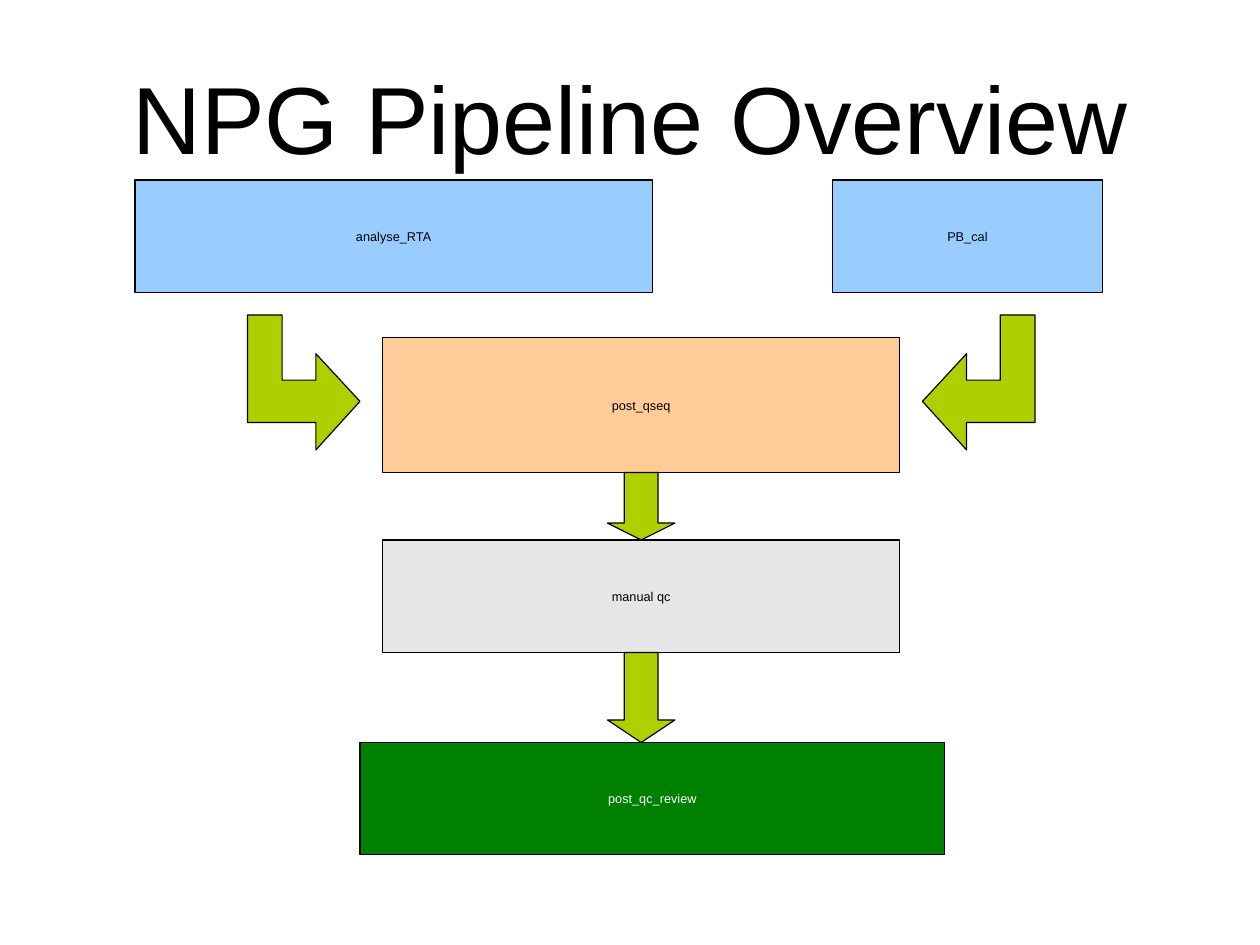
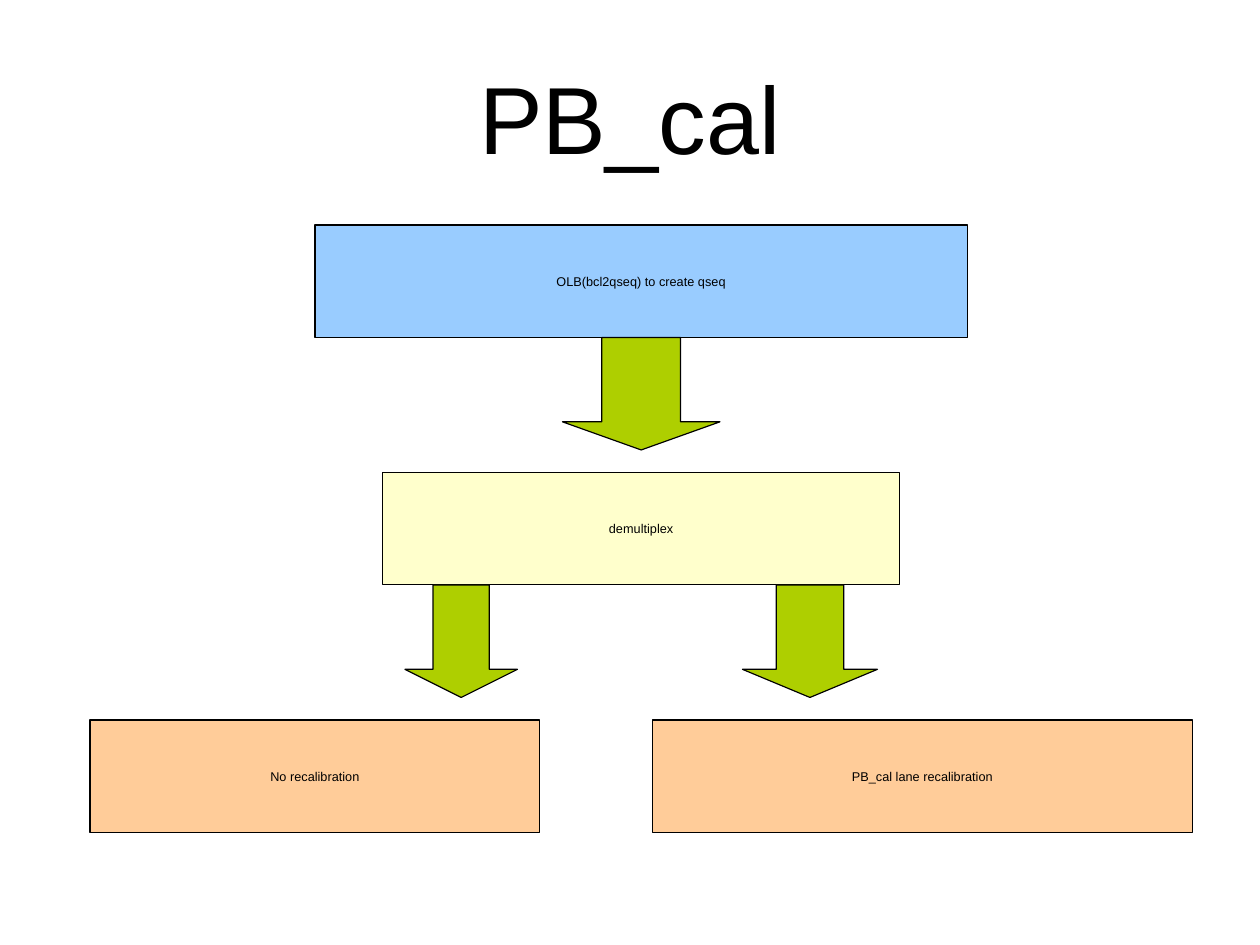
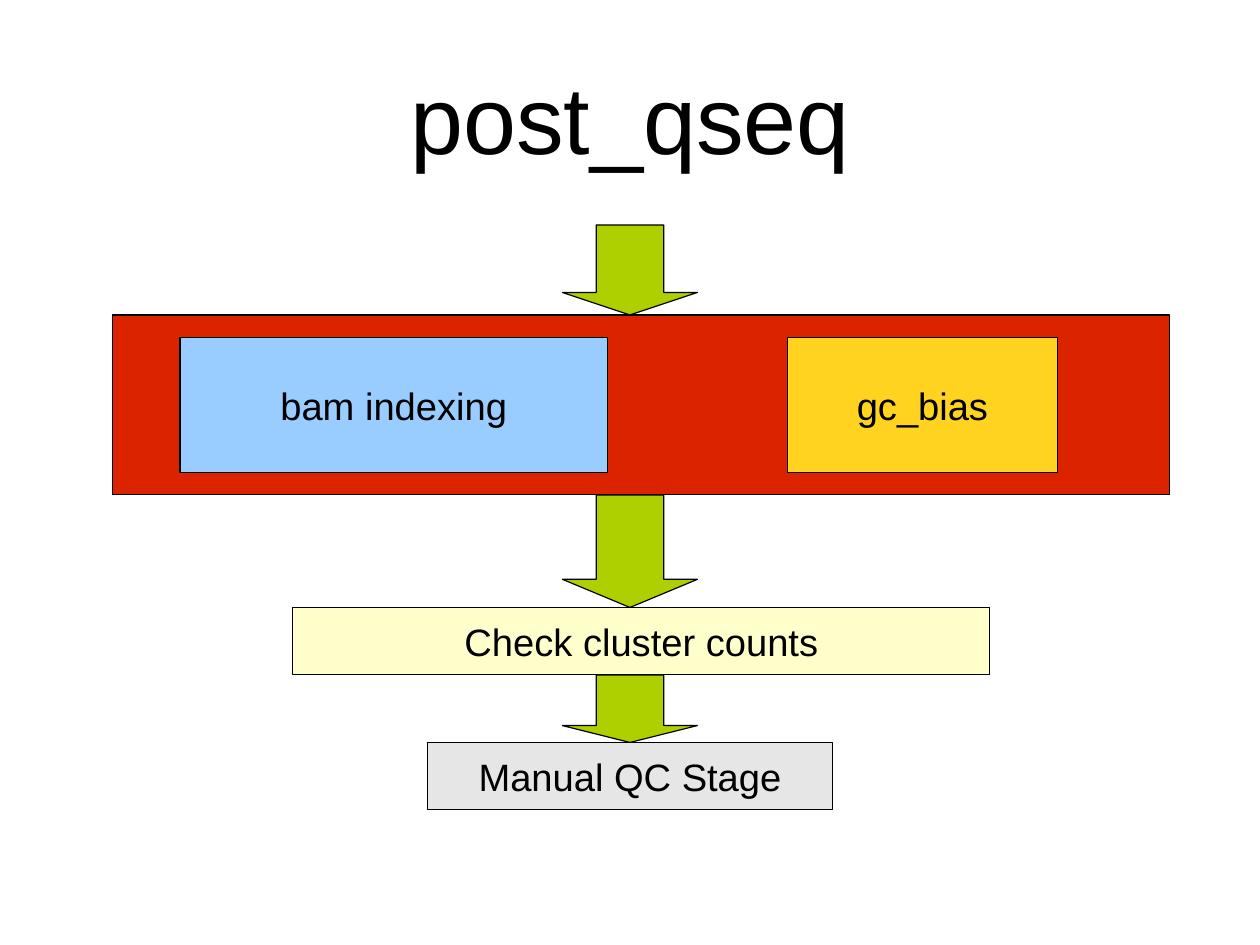
from pptx import Presentation
from pptx.dml.color import RGBColor
from pptx.enum.shapes import MSO_SHAPE
from pptx.enum.text import MSO_ANCHOR, PP_ALIGN
from pptx.util import Cm, Pt

RECT, DOWN = MSO_SHAPE.RECTANGLE, MSO_SHAPE.DOWN_ARROW
MIDDLE, CENTER = MSO_ANCHOR.MIDDLE, PP_ALIGN.CENTER

# Palette
BLACK, WHITE = "000000", "FFFFFF"
BLUE, PEACH, CREAM = "99CCFF", "FFCC99", "FFFFCC"
GRAY, GREEN, RED, GOLD = "E6E6E6", "008000", "DC2300", "FFD320"
LIME = "AECF00"

# Grid: one cell is one centimetre
COLS, ROWS = 28, 21

# Outline of a bent arrow that points right, in cells
BEND_W = 2.5
BEND = [(1.52, 0.86), (1.52, 1.45), (0.77, 1.45), (0.77, 0), (0, 0),
        (0, 2.39), (1.52, 2.39), (1.52, 3), (BEND_W, 1.92)]


def color(code):
    return RGBColor.from_string(code)


class Deck:
    """Holds the shared style and the current slide."""
    font = "Arial"
    big = 60

    def __init__(self):
        self.prs = Presentation()
        self.prs.slide_width, self.prs.slide_height = Cm(COLS), Cm(ROWS)
        self.slide = None
        self.size = None

    def page(self, title, size):
        """Start a slide; size is the text size of its boxes."""
        self.slide = self.prs.slides.add_slide(self.prs.slide_layouts[5])
        self.size = size
        head = self.slide.shapes.title
        head.left, head.top = Cm(1.4), Cm(0.97)
        head.width, head.height = Cm(COLS - 2 * 1.4), Cm(3.25)
        frame = head.text_frame
        frame.margin_left = frame.margin_right = 0
        frame.margin_top = frame.margin_bottom = 0
        self.label(frame, title, self.big, BLACK)

    def label(self, frame, text, size, ink):
        frame.word_wrap = True
        frame.vertical_anchor = MIDDLE
        para = frame.paragraphs[0]
        para.alignment = CENTER
        run = para.add_run()
        run.text = text
        run.font.name, run.font.size = self.font, Pt(size)
        run.font.color.rgb = color(ink)

    def paint(self, shape, fill):
        shape.shadow.inherit = False
        shape.fill.solid()
        shape.fill.fore_color.rgb = color(fill)
        shape.line.color.rgb = color(BLACK)
        shape.line.width = Pt(0)
        return shape

    def shape(self, kind, cells, fill):
        cells = [Cm(n) for n in cells]
        return self.paint(self.slide.shapes.add_shape(kind, *cells), fill)

    def box(self, x, y, w, h, fill, text="", ink=BLACK):
        rect = self.shape(RECT, (x, y, w, h), fill)
        if text:
            self.label(rect.text_frame, text, self.size, ink)

    def down(self, x, y, w, h):
        """Down arrow whose head takes a quarter of its height."""
        arrow = self.shape(DOWN, (x, y, w, h), LIME)
        arrow.adjustments[0] = 0.5
        arrow.adjustments[1] = 0.25 * h / min(w, h)

    def bend(self, x, y, flip=False):
        dots = [(Cm(x + (BEND_W - u if flip else u)), Cm(y + v))
                for u, v in BEND]
        line = self.slide.shapes.build_freeform(*dots[0])
        line.add_line_segments(dots[1:], close=True)
        self.paint(line.convert_to_shape(), LIME)


def main():
    deck = Deck()

    # Overview: two sources join, then three stages
    deck.page("NPG Pipeline Overview", 8)
    deck.box(3, 4, 11.5, 2.5, BLUE, "analyse_RTA")
    deck.box(18.5, 4, 6, 2.5, BLUE, "PB_cal")
    deck.box(8.5, 7.5, 11.5, 3, PEACH, "post_qseq")
    deck.box(8.5, 12, 11.5, 2.5, GRAY, "manual qc")
    deck.box(8, 16.5, 13, 2.5, GREEN, "post_qc_review", WHITE)
    deck.bend(5.5, 7)
    deck.bend(20.5, 7, flip=True)
    deck.down(13.5, 10.5, 1.5, 1.5)
    deck.down(13.5, 14.5, 1.5, 2)

    # Calibration: one path splits in two
    deck.page("PB_cal", 8)
    deck.box(7, 5, 14.5, 2.5, BLUE, "OLB(bcl2qseq) to create qseq")
    deck.box(8.5, 10.5, 11.5, 2.5, CREAM, "demultiplex")
    deck.box(2, 16, 10, 2.5, PEACH, "No recalibration")
    deck.box(14.5, 16, 12, 2.5, PEACH, "PB_cal lane recalibration")
    for x, y, w in ((12.5, 7.5, 3.5), (9, 13, 2.5), (16.5, 13, 3)):
        deck.down(x, y, w, 2.5)

    # After qseq: paired steps in a band, then checks
    deck.page("post_qseq", 24)
    deck.box(2.5, 7, 23.5, 4, RED)
    deck.box(4, 7.5, 9.5, 3, BLUE, "bam indexing")
    deck.box(17.5, 7.5, 6, 3, GOLD, "gc_bias")
    deck.box(6.5, 13.5, 15.5, 1.5, CREAM, "Check cluster counts")
    deck.box(9.5, 16.5, 9, 1.5, GRAY, "Manual QC Stage")
    for y, h in ((5, 2), (11, 2.5), (15, 1.5)):
        deck.down(12.5, y, 3, h)

    deck.prs.save("out.pptx")


if __name__ == "__main__":
    main()
